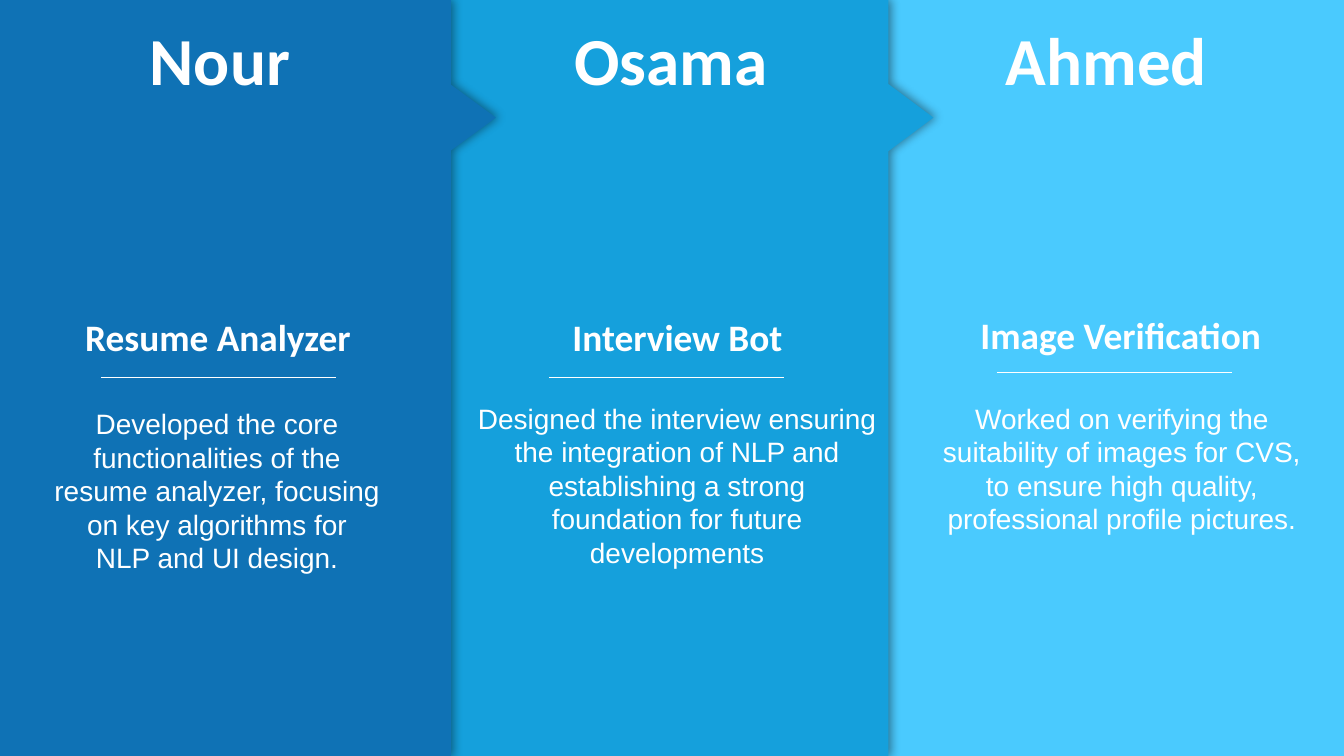
from dataclasses import dataclass

from lxml.etree import SubElement
from pptx import Presentation
from pptx.dml.color import RGBColor
from pptx.enum.shapes import MSO_CONNECTOR
from pptx.enum.text import MSO_AUTO_SIZE, PP_ALIGN
from pptx.oxml.ns import qn
from pptx.slide import Slide
from pptx.util import Pt

PX = 9144  # 100 px to the inch
SLIDE_WIDTH, SLIDE_HEIGHT = 2000, 1125
ARROW_MIDDLE = 175
NAME_TOP, NAME_HEIGHT = 23, 131
ROLE_HEIGHT = 77
RULE_LENGTH = 350
COLORS = {
    "backdrop": "17375E",
    "dark": "0F72B5",
    "medium": "15A0DC",
    "light": "4ACAFE",
    "white": "FFFFFF",
    "shadow": "000000",
}


@dataclass(frozen=True)
class Box:
    left: int
    top: int
    width: int
    height: int


@dataclass(frozen=True)
class Panel:
    color: str
    left: int
    right: int
    arrow_tip: int
    arrow_half: int
    name: str
    name_box: Box
    role: str
    role_box: Box
    rule_left: int
    rule_top: int
    duties: tuple[str, ...]
    duties_box: Box


# Back to front: each panel's arrow overlaps the panel on its right.
PANELS = (
    Panel(
        "light", 1302, 2002, 2075, 52,
        "Ahmed", Box(1487, NAME_TOP, 451, NAME_HEIGHT),
        "Image Verification", Box(1449, 460, 459, ROLE_HEIGHT),
        1483, 554,
        ("Worked on verifying the suitability of images for CVS,",
         "to ensure high quality, professional profile pictures."),
        Box(1357, 592, 625, 212),
    ),
    Panel(
        "medium", 660, 1322, 1389, 50,
        "Osama", Box(845, NAME_TOP, 426, NAME_HEIGHT),
        "Interview Bot", Box(842, 462, 418, ROLE_HEIGHT),
        817, 562,
        ("Designed the interview ensuring the integration of NLP and "
         "establishing a strong",
         "foundation for future developments"),
        Box(692, 592, 631, 263),
    ),
    Panel(
        "dark", 0, 671, 738, 49,
        "Nour", Box(213, NAME_TOP, 432, NAME_HEIGHT),
        "Resume Analyzer", Box(117, 462, 418, ROLE_HEIGHT),
        150, 562,
        ("Developed the core functionalities of the",
         "resume analyzer, focusing",
         "on key algorithms for",
         "NLP and UI design."),
        Box(66, 600, 514, 263),
    ),
)


def rgb(color: str) -> RGBColor:
    return RGBColor.from_string(COLORS[color])


def add_arrow_panel(slide: Slide, panel: Panel) -> None:
    """Draw a full-height panel with an arrow point and a soft shadow."""
    builder = slide.shapes.build_freeform(panel.left, 0, scale=PX)
    builder.add_line_segments([
        (panel.right, 0),
        (panel.right, ARROW_MIDDLE - panel.arrow_half),
        (panel.arrow_tip, ARROW_MIDDLE),
        (panel.right, ARROW_MIDDLE + panel.arrow_half),
        (panel.right, SLIDE_HEIGHT),
        (panel.left, SLIDE_HEIGHT),
    ])
    shape = builder.convert_to_shape()
    shape.fill.solid()
    shape.fill.fore_color.rgb = rgb(panel.color)
    shape.line.fill.background()
    shape.shadow.inherit = False
    effects = shape.element.spPr.find(qn("a:effectLst"))
    shadow = SubElement(effects, qn("a:outerShdw"), blurRad=str(Pt(10)),
                        dist=str(Pt(3)), dir="0", algn="l", rotWithShape="0")
    color = SubElement(shadow, qn("a:srgbClr"), val=COLORS["shadow"])
    SubElement(color, qn("a:alpha"), val="40000")


def add_text(slide: Slide, box: Box, lines: tuple[str, ...], size: int,
             font_name: str, bold: bool, alignment: PP_ALIGN) -> None:
    shape = slide.shapes.add_textbox(box.left * PX, box.top * PX,
                                     box.width * PX, box.height * PX)
    text_frame = shape.text_frame
    text_frame.word_wrap = True
    text_frame.auto_size = MSO_AUTO_SIZE.SHAPE_TO_FIT_TEXT
    text_frame.text = "\n".join(lines)
    for paragraph in text_frame.paragraphs:
        paragraph.alignment = alignment
        for run in paragraph.runs:
            run.font.size = Pt(size)
            run.font.name = font_name
            run.font.bold = bold
            run.font.color.rgb = rgb("white")


def add_rule(slide: Slide, left: int, top: int) -> None:
    connector = slide.shapes.add_connector(
        MSO_CONNECTOR.STRAIGHT, left * PX, top * PX,
        (left + RULE_LENGTH) * PX, top * PX)
    connector.line.color.rgb = rgb("white")
    connector.line.width = Pt(1)
    SubElement(connector.element.spPr, qn("a:effectLst"))


def add_panel(slide: Slide, panel: Panel) -> None:
    add_arrow_panel(slide, panel)
    add_text(slide, panel.duties_box, panel.duties, 30, "Arial", False,
             PP_ALIGN.CENTER)
    add_text(slide, panel.name_box, (panel.name,), 72, "Calibri", True,
             PP_ALIGN.LEFT)
    add_text(slide, panel.role_box, (panel.role,), 40, "Calibri", True,
             PP_ALIGN.LEFT)
    add_rule(slide, panel.rule_left, panel.rule_top)


def main() -> None:
    presentation = Presentation()
    presentation.slide_width = SLIDE_WIDTH * PX
    presentation.slide_height = SLIDE_HEIGHT * PX
    slide = presentation.slides.add_slide(presentation.slide_layouts[6])
    slide.background.fill.solid()
    slide.background.fill.fore_color.rgb = rgb("backdrop")
    for panel in PANELS:
        add_panel(slide, panel)
    presentation.save("out.pptx")


if __name__ == "__main__":
    main()
